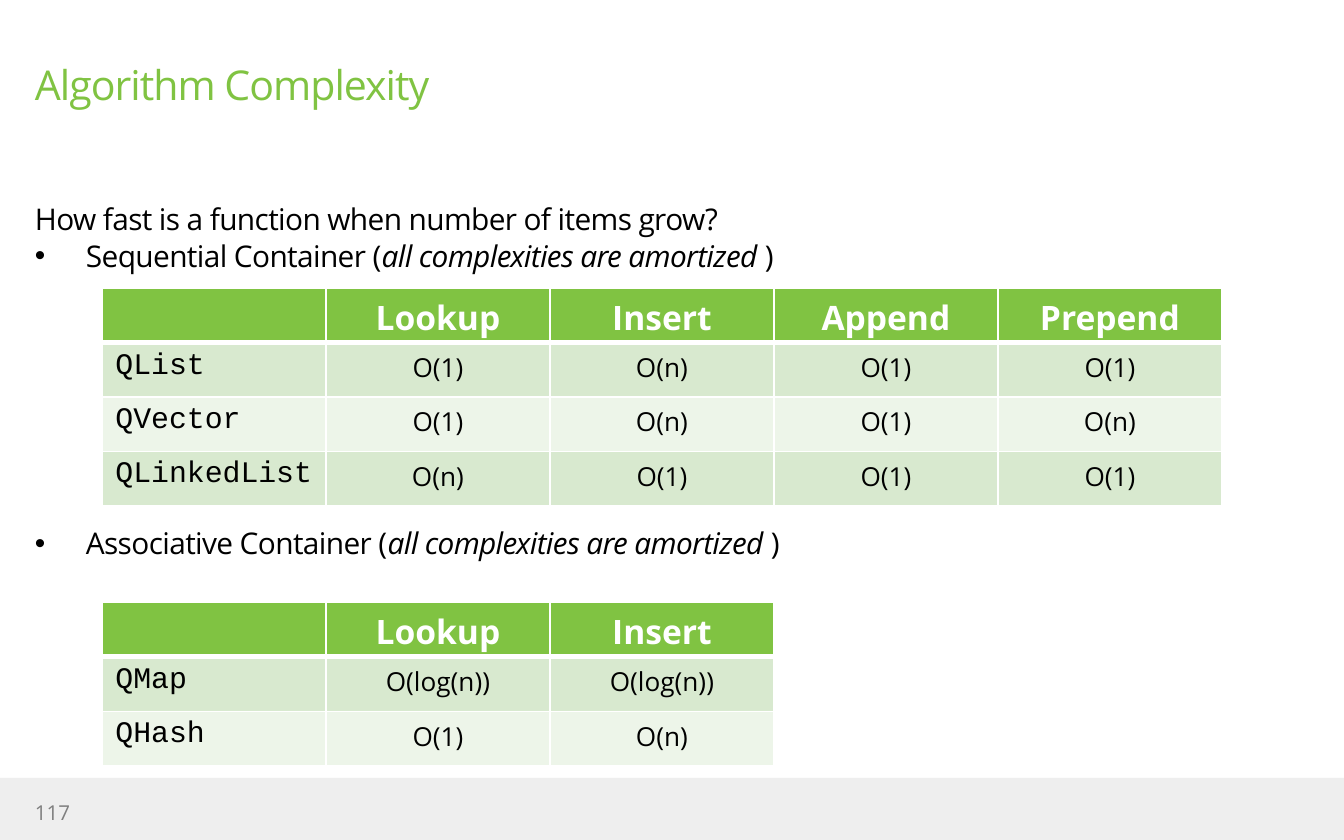
from lxml import etree
from pptx import Presentation
from pptx.dml.color import RGBColor
from pptx.enum.shapes import MSO_SHAPE
from pptx.enum.text import MSO_ANCHOR, PP_ALIGN
from pptx.oxml.ns import qn
from pptx.util import Pt

RECT = MSO_SHAPE.RECTANGLE
TOP, MIDDLE = MSO_ANCHOR.TOP, MSO_ANCHOR.MIDDLE
LEFT, CENTER = PP_ALIGN.LEFT, PP_ALIGN.CENTER
SCALE = 914400 / 134.4
SANS, MONO = "Open Sans", "Courier New"
COLORS = {
    "green": "80C342",
    "dark": "D8E9CF",
    "light": "EDF5E9",
    "white": "FFFFFF",
    "black": "000000",
    "gray": "7F7F7F",
    "band": "EEEEEE",
}
LISTS = [
    ["", "Lookup", "Insert", "Append", "Prepend"],
    ["QList", "O(1)", "O(n)", "O(1)", "O(1)"],
    ["QVector", "O(1)", "O(n)", "O(1)", "O(n)"],
    ["QLinkedList", "O(n)", "O(1)", "O(1)", "O(1)"],
]
MAPS = [
    ["", "Lookup", "Insert"],
    ["QMap", "O(log(n))", "O(log(n))"],
    ["QHash", "O(1)", "O(n)"],
]


def px(count):
    return round(count * SCALE)


def paint(fill, color):
    fill.solid()
    fill.fore_color.rgb = RGBColor.from_string(COLORS[color])


def style(run, size, color, face=SANS, bold=False, tight=0):
    font = run.font
    font.size, font.name, font.bold = Pt(size), face, bold
    font.color.rgb = RGBColor.from_string(COLORS[color])
    if tight:
        run._r.get_or_add_rPr().set("spc", str(tight))


def add_box(slide, box, anchor=TOP):
    frame = slide.shapes.add_textbox(*map(px, box)).text_frame
    frame.margin_left = frame.margin_right = 0
    frame.margin_top = frame.margin_bottom = 0
    frame.word_wrap = True
    frame.vertical_anchor = anchor
    return frame


def add_label(slide, box, text, size, color, anchor=TOP, tight=0):
    frame = add_box(slide, box, anchor)
    frame.text = text
    style(frame.paragraphs[0].runs[0], size, color, tight=tight)


def add_footer(slide, box):
    left, top, width, height = box
    band = slide.shapes.add_shape(RECT, *map(px, box))
    band.shadow.inherit = False
    paint(band.fill, "band")
    band.line.fill.background()
    add_label(slide, (left + 35, top + 22, 332, 25), "117", 11, "gray", MIDDLE)


def add_bullet(para):
    props = para._p.get_or_add_pPr()
    props.set("marL", str(px(51)))
    props.set("indent", str(-px(51)))
    face = etree.SubElement(props, qn("a:buFont"))
    face.set("typeface", "Arial")
    mark = etree.SubElement(props, qn("a:buChar"))
    mark.set("char", "•")


def add_body(slide, box):
    frame = add_box(slide, box)
    frame.text = "How fast is a function when number of items grow?"
    for kind, gap in (("Sequential", 0.6), ("Associative", 134.6)):
        para = frame.add_paragraph()
        add_bullet(para)
        para.space_before = Pt(gap)
        parts = (f"{kind} Container (", "all complexities are amortized ", ")")
        for part in parts:
            run = para.add_run()
            run.text = part
            run.font.italic = part == parts[1]
    for para in frame.paragraphs:
        for run in para.runs:
            style(run, 16, "black", tight=-30)


def add_border(cell, tag, points):
    line = etree.SubElement(cell._tc.get_or_add_tcPr(), qn(tag))
    line.set("w", str(Pt(points)))
    fill = etree.SubElement(line, qn("a:solidFill"))
    etree.SubElement(fill, qn("a:srgbClr")).set("val", COLORS["white"])


def format_cell(cell, row, col):
    thick = {(0, "a:lnB"), (1, "a:lnT")}
    for tag in ("a:lnL", "a:lnR", "a:lnT", "a:lnB"):
        add_border(cell, tag, 3 if (row, tag) in thick else 1)
    para = cell.text_frame.paragraphs[0]
    para.alignment = CENTER if col else LEFT
    if row == 0:
        back, look = "green", (18, "white", SANS, True)
    else:
        back = "dark" if row % 2 else "light"
        look = (14, "black", SANS) if col else (16, "black", MONO)
    paint(cell.fill, back)
    for run in para.runs:
        style(run, *look)


def add_grid(slide, box, data):
    rows, cols = len(data), len(data[0])
    table = slide.shapes.add_table(rows, cols, *map(px, box)).table
    for row, texts in enumerate(data):
        for col, text in enumerate(texts):
            cell = table.cell(row, col)
            cell.text_frame.text = text
            format_cell(cell, row, col)


def main():
    deck = Presentation()
    deck.slide_width, deck.slide_height = px(1344), px(840)
    slide = deck.slides.add_slide(deck.slide_layouts[6])
    add_footer(slide, (0, 778, 1344, 68))
    title = "Algorithm Complexity"
    add_label(slide, (35, 59, 907, 114), title, 22, "green", tight=-50)
    add_body(slide, (35, 201, 1282, 556))
    add_grid(slide, (102, 288, 1120, 218), LISTS)
    add_grid(slide, (102, 602, 672, 164), MAPS)
    deck.save("out.pptx")


if __name__ == "__main__":
    main()
